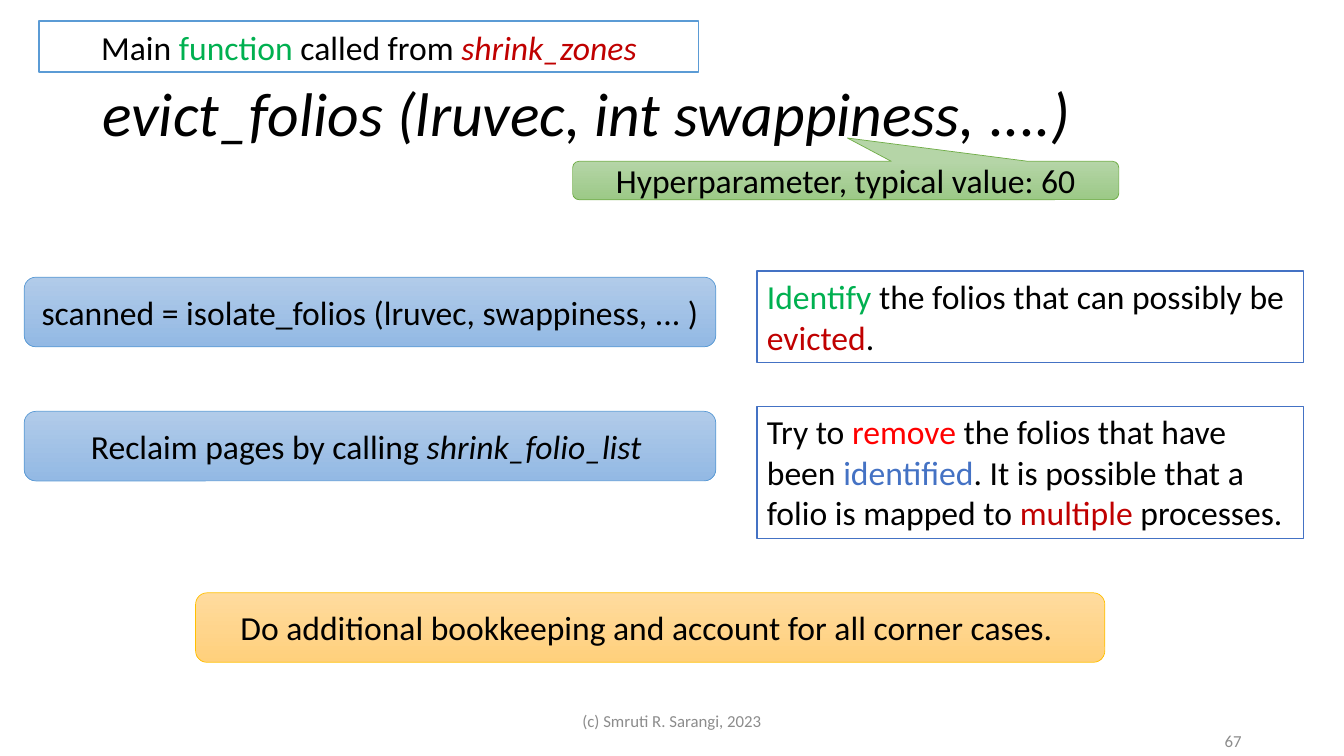
from pptx import Presentation
from pptx.dml.color import RGBColor
from pptx.enum.shapes import MSO_SHAPE as Shape
from pptx.enum.text import MSO_ANCHOR as Anchor, MSO_AUTO_SIZE as AutoSize, PP_ALIGN as Align
from pptx.util import Pt

BLACK = RGBColor(0x00, 0x00, 0x00)
WHITE = RGBColor(0xFF, 0xFF, 0xFF)
GREY = RGBColor(0x8C, 0x8C, 0x8C)
GREEN = RGBColor(0x00, 0xB0, 0x50)
RED = RGBColor(0xFF, 0x00, 0x00)
DARK_RED = RGBColor(0xC0, 0x00, 0x00)
BLUE = RGBColor(0x44, 0x72, 0xC4)
SKY = RGBColor(0x5B, 0x9B, 0xD5)
LEAF = RGBColor(0x70, 0xAD, 0x47)
GOLD = RGBColor(0xFF, 0xC0, 0x00)
SKY_SHADES = RGBColor(0xB1, 0xCB, 0xE9), RGBColor(0x93, 0xB9, 0xE4)
LEAF_SHADES = RGBColor(0xB5, 0xD5, 0xA7), RGBColor(0x9C, 0xC9, 0x87)
GOLD_SHADES = RGBColor(0xFF, 0xDB, 0x9E), RGBColor(0xFF, 0xD0, 0x7C)


class SlideBuilder:
    font_name = "Calibri"
    text_size = 24
    title_size = 44
    footer_size = 12

    def __init__(self, page):
        self.page = page

    def place(self, shape, left, top, width, height):
        shape.left, shape.top = Pt(left), Pt(top)
        shape.width, shape.height = Pt(width), Pt(height)

    def add_spans(self, shape, spans, size, align, anchor=Anchor.MIDDLE):
        frame = shape.text_frame
        frame.word_wrap = True
        frame.vertical_anchor = anchor
        para = frame.paragraphs[0]
        para.alignment = align
        for text, color, italic in spans:
            span = para.add_run()
            span.text = text
            span.font.name = self.font_name
            span.font.size = Pt(size)
            span.font.color.rgb = color
            span.font.italic = italic
        return para

    def title(self, text, *bounds):
        shape = self.page.shapes.title
        self.place(shape, *bounds)
        para = self.add_spans(shape, [(text, BLACK, True)], self.title_size, Align.LEFT)
        para.line_spacing = 0.9
        shape.text_frame.auto_size = AutoSize.NONE

    def footer(self, text, align, *bounds):
        box = self.page.shapes.add_textbox(*map(Pt, bounds))
        self.add_spans(box, [(text, GREY, False)], self.footer_size, align)

    def outline(self, kind, bounds, line_color, line_width):
        shape = self.page.shapes.add_shape(kind, *map(Pt, bounds))
        shape.shadow.inherit = False
        shape.line.color.rgb = line_color
        shape.line.width = Pt(line_width)
        return shape

    def shaded(self, spans, shades, line_color, *bounds, kind=Shape.ROUNDED_RECTANGLE):
        shape = self.outline(kind, bounds, line_color, 0.5)
        shape.fill.gradient()
        shape.fill.gradient_angle = 270
        for stop, shade, position in zip(shape.fill.gradient_stops, shades, (0, 1)):
            stop.color.rgb = shade
            stop.position = position
        self.add_spans(shape, spans, self.text_size, Align.CENTER)
        return shape

    def callout(self, spans, tip, *bounds):
        shape = self.shaded(spans, LEAF_SHADES, LEAF, *bounds,
                            kind=Shape.ROUNDED_RECTANGULAR_CALLOUT)
        shape.adjustments[0], shape.adjustments[1] = tip

    def panel(self, spans, line_color, align, anchor, *bounds):
        shape = self.outline(Shape.RECTANGLE, bounds, line_color, 1)
        shape.fill.solid()
        shape.fill.fore_color.rgb = WHITE
        self.add_spans(shape, spans, self.text_size, align, anchor)
        return shape

    def note(self, spans, *bounds):
        shape = self.panel(spans, BLUE, Align.LEFT, Anchor.TOP, *bounds)
        shape.text_frame.auto_size = AutoSize.SHAPE_TO_FIT_TEXT


def plain(text, color=BLACK):
    return text, color, False


def slanted(text, color=BLACK):
    return text, color, True


def main():
    deck = Presentation()
    deck.slide_width, deck.slide_height = Pt(960), Pt(540)
    builder = SlideBuilder(deck.slides.add_slide(deck.slide_layouts[5]))

    builder.title("evict_folios (lruvec, int swappiness, ....)", 66, 48.2, 828, 69.6)
    builder.footer("(c) Smruti R. Sarangi, 2023", Align.CENTER, 318, 500.5, 324, 28.75)
    builder.footer("67", Align.RIGHT, 678, 515, 216, 28.75)

    step_left, step_width, step_height = 17.3, 494, 49.7
    note_left, note_width = 540.7, 390.2

    builder.shaded([plain("scanned = isolate_folios (lruvec, swappiness, ... )")],
                   SKY_SHADES, SKY, step_left, 198, step_width, step_height)
    builder.callout([plain("Hyperparameter, typical value: 60")],
                    (0.003, -1.108), 409, 115.2, note_width, 27.4)
    builder.note([plain("Identify", GREEN), plain(" the folios that can possibly be "),
                  plain("evicted", DARK_RED), plain(".")],
                 note_left, 193.7, note_width, 65.4)
    builder.shaded([plain("Reclaim pages by calling "), slanted("shrink_folio_list ")],
                   SKY_SHADES, SKY, step_left, 293.8, step_width, step_height)
    builder.note([plain("Try to "), plain("remove", RED),
                  plain(" the folios that have been "), plain("identified", BLUE),
                  plain(". It is possible that a folio is mapped to "),
                  plain("multiple", DARK_RED), plain(" processes.")],
                 note_left, 290.2, note_width, 94.5)
    builder.shaded([plain("Do additional bookkeeping and account for all corner cases. ")],
                   GOLD_SHADES, GOLD, 139.7, 423.4, 649.5, step_height)
    builder.panel([plain("Main "), plain("function", GREEN), plain(" called from "),
                   slanted("shrink_zones", DARK_RED)],
                  SKY, Align.CENTER, Anchor.MIDDLE, 28, 15.1, 471, 36.5)

    deck.save("out.pptx")


if __name__ == "__main__":
    main()
